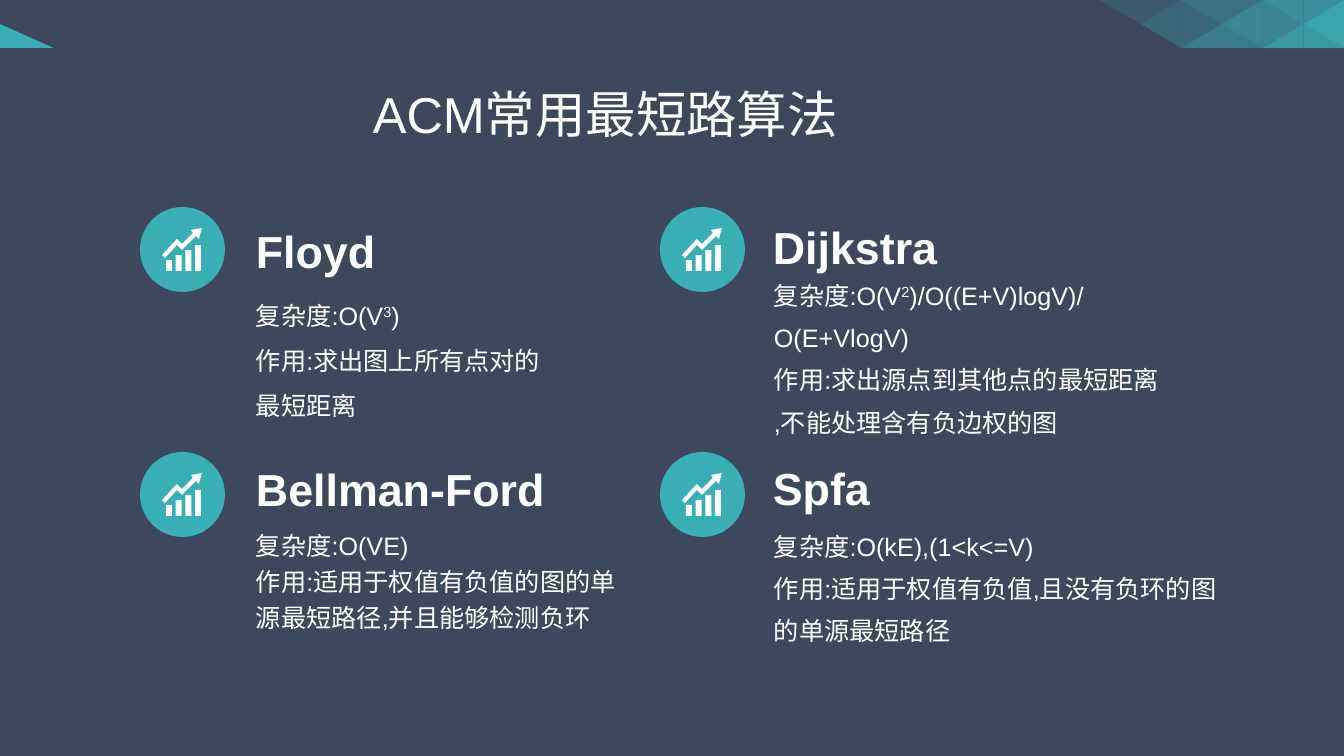
"""Builds a slide comparing four shortest-path algorithms."""
from dataclasses import dataclass

from lxml.etree import SubElement
from pptx import Presentation
from pptx.dml.color import RGBColor
from pptx.enum.shapes import MSO_SHAPE
from pptx.enum.text import MSO_ANCHOR, MSO_AUTO_SIZE, PP_ALIGN
from pptx.oxml.ns import qn
from pptx.util import Emu, Pt

TITLE = "ACM常用最短路算法"
ALGORITHMS = [
    dict(icon=(140, 207), name="Floyd", name_box=(246, 218, 207, 65),
         body_box=(246, 272, 306, 162), spacing=1.5,
         body=["复杂度:O(V^3^)", "作用:求出图上所有点对的最短距离"]),
    dict(icon=(660, 207), name="Dijkstra", name_box=(763, 214, 255, 65),
         body_box=(764, 277, 458, 151), spacing=1.4,
         body=["复杂度:O(V^2^)/O((E+V)logV)/O(E+VlogV)",
               "作用:求出源点到其他点的最短距离", ",不能处理含有负边权的图"]),
    dict(icon=(140, 452), name="Bellman-Ford", name_box=(246, 456, 391, 65),
         body_box=(246, 511, 393, 135), spacing=1.2,
         body=["复杂度:O(VE)", "作用:适用于权值有负值的图的单源最短路径,并且能够检测负环"]),
    dict(icon=(660, 452), name="Spfa", name_box=(763, 455, 255, 65),
         body_box=(764, 511, 478, 143), spacing=1.4,
         body=["复杂度:O(kE),(1<k<=V)", "作用:适用于权值有负值,且没有负环的图的单源最短路径"]),
]
MOSAIC = [
    [(20, 0), (20, 30), (40, 30), (40, 60), (70, 60), (70, 90)],
    [(0, 0), (30, 0), (30, 50), (60, 50), (60, 80), (90, 80)],
]
ARROW = [(59, 32), (62, 21), (51, 23), (53, 26), (42, 37), (37, 32),
         (22, 48), (25, 51), (37, 38), (42, 43), (56, 29)]
WIDTH, HEIGHT = 1344, 756
BAND_WIDTH, BAND_HEIGHT = 1008, 48
MOSAIC_LEFT = 1100
ICON_SIZE, ICON_BASE = 85, 64
BAR_COUNT, BAR_LEFT, BAR_WIDTH, BAR_SPAN = 4, 26, 6, 29


@dataclass(frozen=True)
class Theme:
    """Colours, font and type sizes."""
    back: RGBColor = RGBColor(0x3D, 0x48, 0x5D)
    teal: RGBColor = RGBColor(0x39, 0xAE, 0xB5)
    white: RGBColor = RGBColor(0xFF, 0xFF, 0xFF)
    font: str = "Arial"
    title: int = 36
    name: int = 32
    body: int = 18


THEME = Theme()


def px(n):
    """Convert pixels to EMU."""
    return Emu(round(n * 12192000 / WIDTH))


def paint(sp, color, alpha=100):
    """Give a shape a flat fill without line or shadow."""
    sp.shadow.inherit = False
    sp.line.fill.background()
    sp.fill.solid()
    sp.fill.fore_color.rgb = color
    if alpha < 100:
        clr = sp.fill._xPr.find(".//" + qn("a:srgbClr"))
        SubElement(clr, qn("a:alpha")).set("val", str(alpha * 1000))


def preset(s, kind, box, color):
    """Add a filled preset shape."""
    paint(s.shapes.add_shape(kind, *map(px, box)), color)


def polygon(s, points, color, alpha=100):
    """Add a filled closed outline."""
    start, *rest = [(px(x), px(y)) for x, y in points]
    builder = s.shapes.build_freeform(*start)
    builder.add_line_segments(rest, close=True)
    paint(builder.convert_to_shape(), color, alpha)


def write(tf, lines, *, size, bold=False, spacing=None):
    """Write lines as paragraphs, raising text between carets."""
    tf.word_wrap = True
    tf.auto_size = MSO_AUTO_SIZE.NONE
    tf.vertical_anchor = MSO_ANCHOR.MIDDLE
    for i, line in enumerate(lines):
        p = tf.add_paragraph() if i else tf.paragraphs[0]
        p.alignment = PP_ALIGN.LEFT
        p.line_spacing = spacing
        for j, part in enumerate(line.split("^")):
            r = p.add_run()
            r.text = part
            r.font.size = Pt(size)
            r.font.bold = bold
            r.font.name = THEME.font
            r.font.color.rgb = THEME.white
            rPr = r._r.get_or_add_rPr()
            SubElement(rPr, qn("a:ea")).set("typeface", THEME.font)
            if j % 2:
                rPr.set("baseline", "30000")


def add_header(s):
    """Draw the top band and its triangle mosaic."""
    preset(s, MSO_SHAPE.RECTANGLE, (0, 0, BAND_WIDTH, BAND_HEIGHT), THEME.teal)
    polygon(s, [(WIDTH, 0), (WIDTH, BAND_HEIGHT), (54, BAND_HEIGHT),
                (0, BAND_HEIGHT / 2), (0, 0)], THEME.back)
    w = (WIDTH - MOSAIC_LEFT) / len(MOSAIC[0])
    h = BAND_HEIGHT / len(MOSAIC)
    for row, cells in enumerate(MOSAIC):
        for col, (upper, lower) in enumerate(cells):
            x, y = MOSAIC_LEFT + col * w, row * h
            tl, tr, bl, br = (x, y), (x + w, y), (x, y + h), (x + w, y + h)
            falling = (row + col) % 2 == 0
            halves = [((tl, tr, br if falling else bl), upper),
                      ((bl, br, tl if falling else tr), lower)]
            for points, alpha in halves:
                if alpha:
                    polygon(s, points, THEME.teal, alpha)


def add_icon(s, x, y):
    """Draw a growth chart in a circle."""
    preset(s, MSO_SHAPE.OVAL, (x, y, ICON_SIZE, ICON_SIZE), THEME.teal)
    polygon(s, [(x + dx, y + dy) for dx, dy in ARROW], THEME.white)
    for i in range(BAR_COUNT):
        left = x + BAR_LEFT + BAR_SPAN * i / (BAR_COUNT - 1)
        h = 11 + 5 * i
        preset(s, MSO_SHAPE.RECTANGLE, (left, y + ICON_BASE - h, BAR_WIDTH, h), THEME.white)


def add_text(s, box, lines, **fmt):
    """Add a text box."""
    write(s.shapes.add_textbox(*map(px, box)).text_frame, lines, **fmt)


def main():
    """Build and save the slide."""
    prs = Presentation()
    prs.slide_width, prs.slide_height = px(WIDTH), px(HEIGHT)
    s = prs.slides.add_slide(prs.slide_layouts[5])
    s.background.fill.solid()
    s.background.fill.fore_color.rgb = THEME.back
    add_header(s)
    title = s.shapes.title
    title.left, title.top, title.width, title.height = map(px, (73, 44, 1159, 146))
    title.text_frame.margin_left = px(300)
    write(title.text_frame, [TITLE], size=THEME.title, spacing=0.9)
    for a in ALGORITHMS:
        add_icon(s, *a["icon"])
        add_text(s, a["name_box"], [a["name"]], size=THEME.name, bold=True)
        add_text(s, a["body_box"], a["body"], size=THEME.body, spacing=a["spacing"])
    prs.save("out.pptx")


if __name__ == "__main__":
    main()
